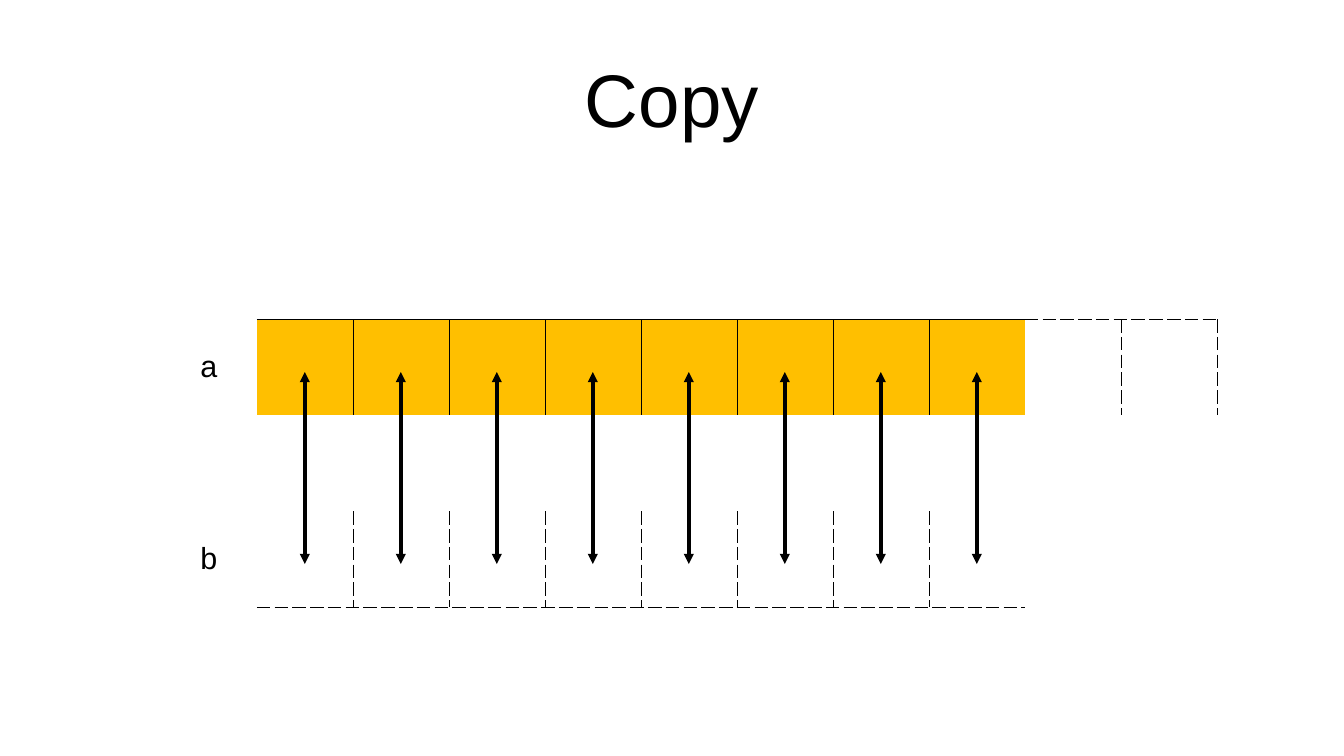
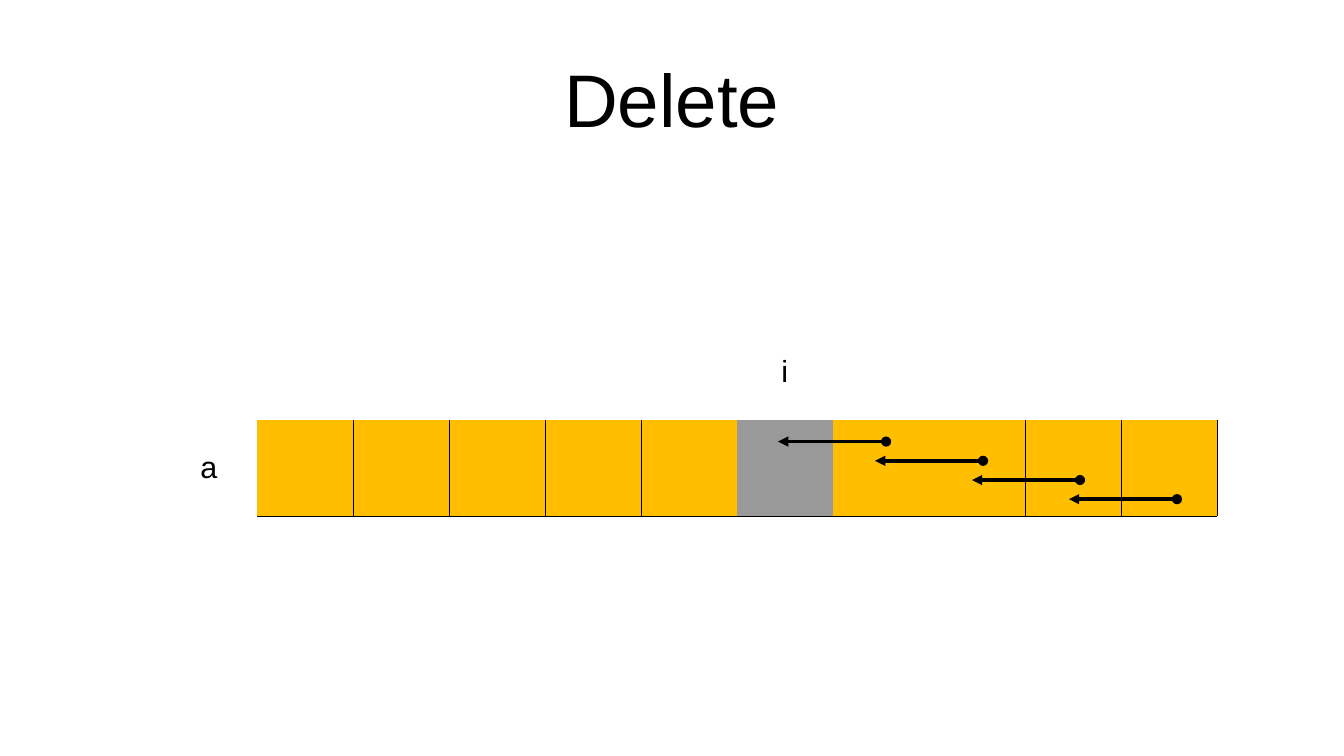
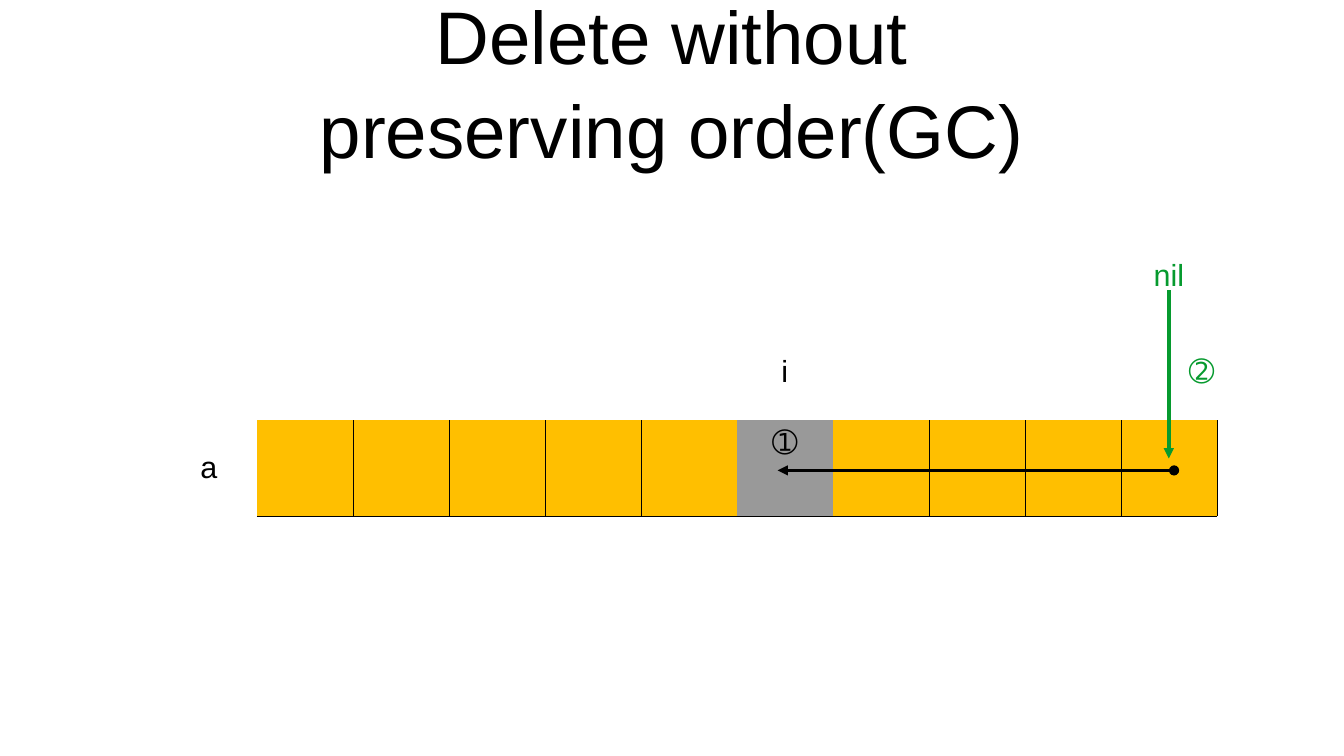
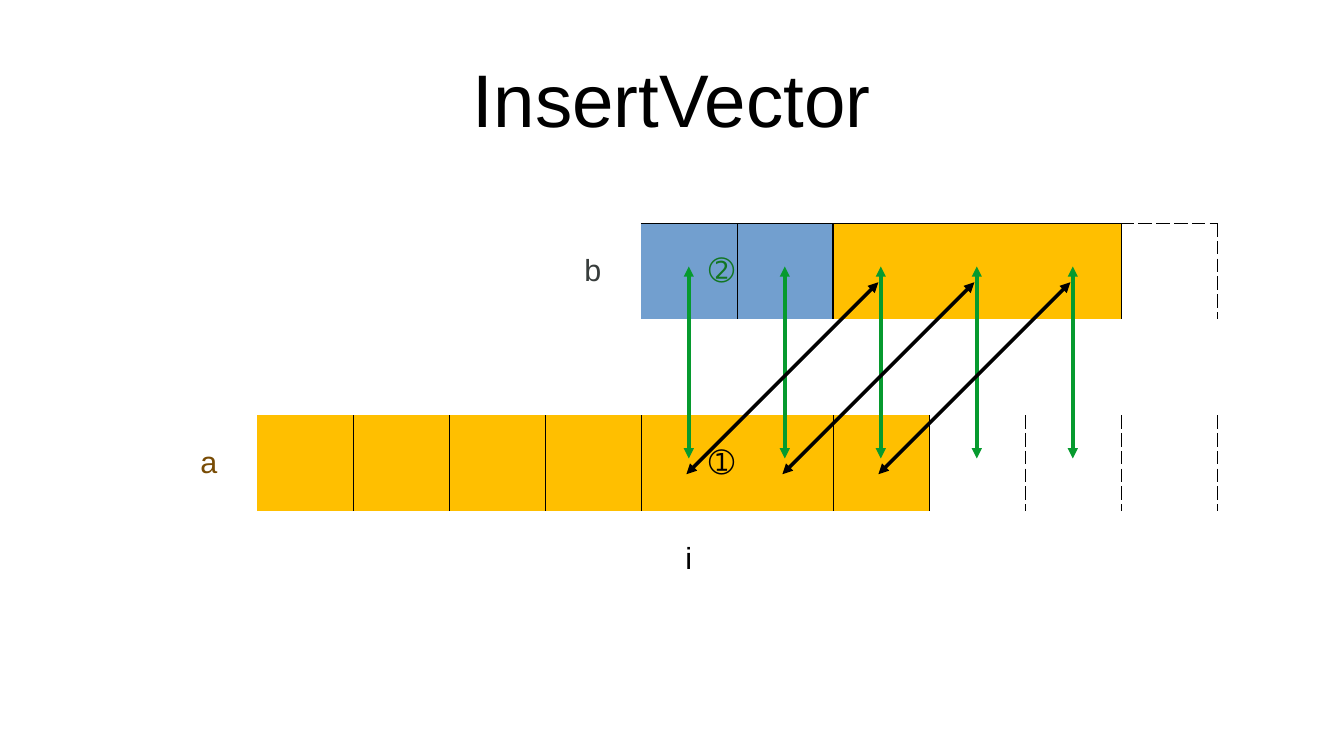
from lxml.etree import SubElement
from pptx import Presentation
from pptx.dml.color import RGBColor
from pptx.enum.shapes import MSO_CONNECTOR
from pptx.enum.text import MSO_ANCHOR, PP_ALIGN
from pptx.oxml.ns import qn
from pptx.util import Cm, Pt

HUES = {
    "black": "000000", "gold": "FFBF00", "gray": "999999", "blue": "729FCF",
    "green": "069A2E", "dark": "127622", "slate": "383D3C", "brown": "784B04",
}
SIDE = 2
LEFT = 3.35
EDGES = {"thin": (762, "solid"), "dash": (762, "dash"), "thick": (15875, "solid")}
KINDS = {
    ".": (None, {}),
    "Y": ("gold", {"LRTB": "thin"}),
    "R": ("gold", {"RTB": "thin"}),
    "V": ("gold", {"RTB": "thin", "L": "thick"}),
    "B": ("blue", {"LRTB": "thin"}),
    "W": ("blue", {"LTB": "thin", "R": "thick"}),
    "G": ("gray", {"TB": "thin"}),
    "D": (None, {"LRTB": "dash"}),
    "T": (None, {"RTB": "dash"}),
    "E": (None, {"L": "thin", "RTB": "dash"}),
}
CELL = {
    "margin_left": Cm(0.05), "margin_right": Cm(0.05),
    "margin_top": Cm(0.13), "margin_bottom": Cm(0.13),
}
TITLE = {
    "margin_left": 0, "margin_right": 0, "margin_top": 0, "margin_bottom": 0,
    "word_wrap": True, "vertical_anchor": MSO_ANCHOR.MIDDLE,
}
ALIGN = {"mid": PP_ALIGN.CENTER, "right": PP_ALIGN.RIGHT}


def apply(item, form):
    for name, value in form.items():
        setattr(item, name, value)


def mid(col):
    return LEFT + SIDE * (col + 0.5)


class Deck:
    """Holds the shared style and the current slide."""

    def __init__(self):
        self.show = Presentation()
        apply(self.show, {"slide_width": Cm(28), "slide_height": Cm(15.75)})
        self.page = None

    def start(self, title, box=(1.4, 0.68, 25.2, 2.63)):
        self.page = self.show.slides.add_slide(self.show.slide_layouts[6])
        frame = self.page.shapes.add_textbox(*map(Cm, box)).text_frame
        apply(frame, TITLE)
        self.label(frame, title, size=44)
        frame.paragraphs[0].line_spacing = 1.05

    def label(self, frame, text, hue="black", align="mid", size=18):
        para = frame.paragraphs[0]
        para.alignment = ALIGN[align]
        run = para.add_run()
        run.text = text
        apply(run.font, {"name": "Arial", "size": Pt(size)})
        run.font.color.rgb = RGBColor.from_string(HUES[hue])

    def grid(self, top, rows, notes):
        high, wide = len(rows), len(rows[0])
        size = (LEFT, top, SIDE * wide, SIDE * high)
        table = self.page.shapes.add_table(high, wide, *map(Cm, size)).table
        apply(table, {"first_row": False, "horz_banding": False})
        for col in table.columns:
            col.width = Cm(SIDE)
        for row, codes in enumerate(rows):
            table.rows[row].height = Cm(SIDE)
            for col, code in enumerate(codes):
                self.paint(table.cell(row, col), *KINDS[code])
        for (row, col), (text, *look) in notes.items():
            self.label(table.cell(row, col).text_frame, text, *look)
        return table

    def paint(self, cell, hue, sides):
        apply(cell, CELL)
        cell.vertical_anchor = MSO_ANCHOR.MIDDLE
        styles = {side: kind for group, kind in sides.items() for side in group}
        props = cell._tc.get_or_add_tcPr()
        for side in "LRTB":
            line = SubElement(props, qn(f"a:ln{side}"))
            if side not in styles:
                SubElement(line, qn("a:noFill"))
                continue
            width, dash = EDGES[styles[side]]
            line.set("w", str(width))
            fill = SubElement(line, qn("a:solidFill"))
            SubElement(fill, qn("a:srgbClr"), val=HUES["black"])
            SubElement(line, qn("a:prstDash"), val=dash)
        if hue:
            cell.fill.solid()
            cell.fill.fore_color.rgb = RGBColor.from_string(HUES[hue])
        else:
            cell.fill.background()

    def arrow(self, start, end, head="triangle", hue="black"):
        ends = map(Cm, (*start, *end))
        link = self.page.shapes.add_connector(MSO_CONNECTOR.STRAIGHT, *ends)
        link.line.color.rgb = RGBColor.from_string(HUES[hue])
        link.line.width = 0
        line = link.line._get_or_add_ln()
        SubElement(line, qn("a:headEnd"), type=head)
        SubElement(line, qn("a:tailEnd"), type="triangle")
        SubElement(link._element.spPr, qn("a:effectLst"))

    def save(self):
        self.show.save("out.pptx")


def main():
    deck = Deck()
    blank = "." * 11

    deck.start("Copy")
    deck.grid(6.65, [".YYYYYYYYTD", blank, ".DDDDDDDD.."],
              {(0, 0): ("a",), (2, 0): ("b",)})
    for col in range(1, 9):
        deck.arrow((mid(col), 7.75), (mid(col), 11.75))

    deck.start("Delete")
    deck.grid(6.75, [blank, ".YYYYYGYRYY"], {(0, 6): ("i",), (1, 0): ("a",)})
    for step in range(4):
        x, y = 18.46 + 2.02 * step, 9.2 + 0.4 * step
        deck.arrow((x, y), (x - 2.25, y), "oval")

    deck.start("Delete without preserving order(GC)", (6.6, -0.08, 14.8, 3.48))
    table = deck.grid(4.75, [blank, blank, ".YYYYYGYYYY"], {
        (0, 10): ("nil", "green"), (1, 6): ("i",),
        (1, 10): ("➁", "green", "right"),
        (2, 0): ("a",), (2, 6): ("➀",),
    })
    table.cell(2, 6).vertical_anchor = MSO_ANCHOR.TOP
    deck.arrow((24.46, 9.8), (16.2, 9.8), "oval")
    deck.arrow((mid(10), 6.05), (mid(10), 9.55), "none", "green")

    deck.start("InsertVector")
    deck.grid(4.65, [".....BWVRRE", blank, ".YYYYYRYEDD", blank], {
        (0, 4): ("b", "slate"), (0, 5): ("➁", "dark", "right"),
        (2, 0): ("a", "brown"), (2, 5): ("➀", "black", "right"),
        (3, 5): ("i",),
    })
    for col in range(5, 10):
        deck.arrow((mid(col), 5.55), (mid(col), 9.55), hue="green")
    for col in range(5, 8):
        x = mid(col) - 0.05
        deck.arrow((x, 9.88), (x + 2 * SIDE, 5.88))

    deck.save()


if __name__ == "__main__":
    main()
